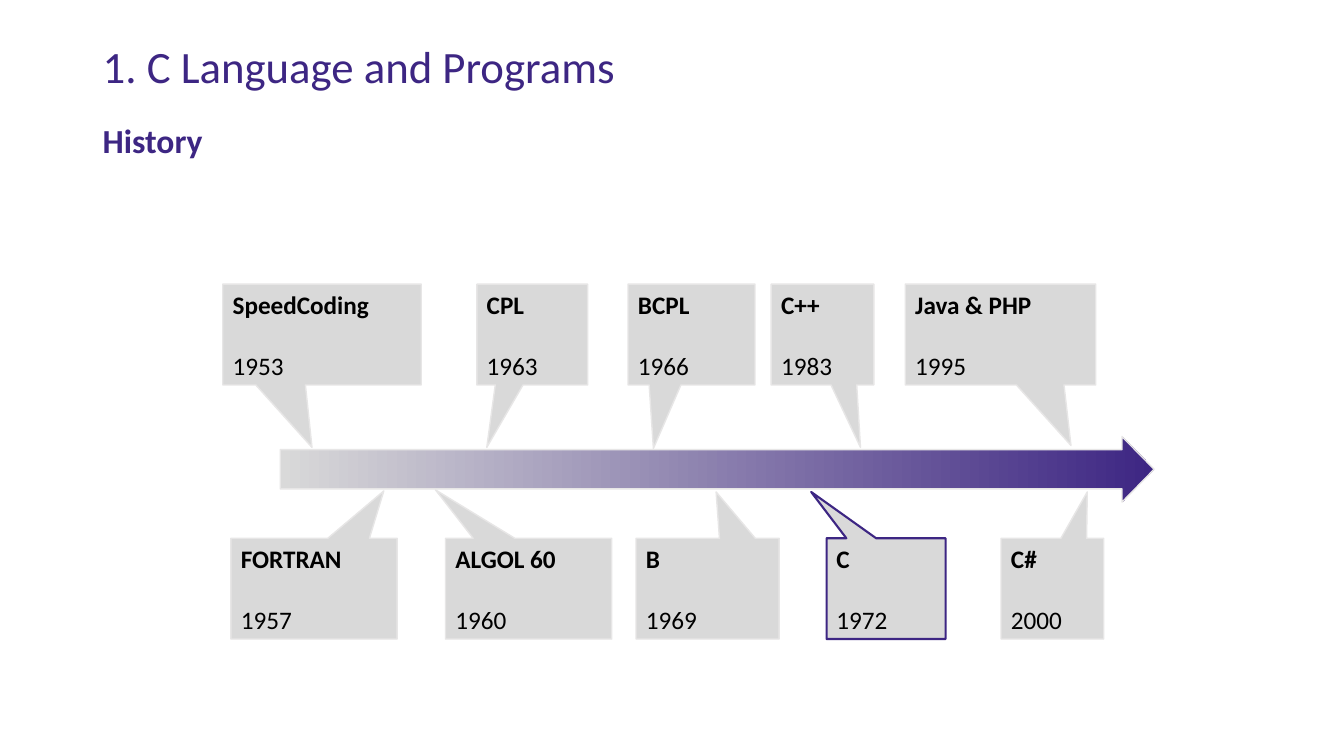
"""Build a timeline slide on the history of the C language."""
from pptx import Presentation
from pptx.dml.color import RGBColor
from pptx.enum.shapes import MSO_SHAPE
from pptx.enum.text import MSO_ANCHOR, PP_ALIGN
from pptx.util import Pt

PURPLE, GREY, PALE, BLACK = "3D2683", "D9D9D9", "E7E6E6", "000000"
UPPER, LOWER, CALLOUT_HEIGHT = 203, 384.5, 72


def paint(color, value):
    color.rgb = RGBColor.from_string(value)


def write(para, text, size, value, bold):
    span = para.add_run()
    span.text = text
    for name, setting in {"name": "Calibri", "size": Pt(size), "bold": bold}.items():
        setattr(span.font, name, setting)
    paint(span.font.color, value)


deck = Presentation()
deck.slide_width, deck.slide_height = Pt(960), Pt(540)
page = deck.slides.add_slide(deck.slide_layouts[6])

headings = [
    ("1. C Language and Programs", 28.8, 45.4, 32, False, 0.9),
    ("History", 82.1, 36, 24, True, 1.0),
]
for text, top, height, size, bold, spacing in headings:
    box = page.shapes.add_textbox(Pt(66.3), Pt(top), Pt(828), Pt(height))
    box.text_frame.word_wrap = True
    para = box.text_frame.paragraphs[0]
    para.line_spacing = spacing
    write(para, text, size, PURPLE, bold)

arrow = page.shapes.add_shape(
    MSO_SHAPE.RIGHT_ARROW, Pt(200.2), Pt(311.8), Pt(624.2), Pt(46.8))
arrow.shadow.inherit = False
arrow.adjustments[0], arrow.adjustments[1] = 0.6, 0.49
arrow.fill.gradient()
arrow.fill.gradient_angle = 0
for stop, value in zip(arrow.fill.gradient_stops, (GREY, PURPLE)):
    paint(stop.color, value)
paint(arrow.line.color, PALE)
arrow.line.width = Pt(1)

languages = [
    ("SpeedCoding", "1953", 159.1, UPPER, 141.8, -0.05, 1.12),
    ("CPL", "1963", 340.6, UPPER, 79.2, -0.41, 1.12),
    ("FORTRAN", "1957", 164.9, LOWER, 118.8, 0.42, -0.97),
    ("BCPL", "1966", 448.6, UPPER, 90.7, -0.3, 1.13),
    ("ALGOL 60", "1960", 318.2, LOWER, 118.8, -0.56, -0.98),
    ("C", "1972", 590.4, LOWER, 85, -0.63, -0.96),
    ("B", "1969", 454.3, LOWER, 102.2, 0.06, -0.96),
    ("C++", "1983", 550.8, UPPER, 73.4, 0.37, 1.12),
    ("Java & PHP", "1995", 646.6, UPPER, 136.1, 0.37, 1.1),
    ("C#", "2000", 715, LOWER, 73.4, 0.34, -0.96),
]
for language, year, left, top, width, tip_x, tip_y in languages:
    callout = page.shapes.add_shape(
        MSO_SHAPE.RECTANGULAR_CALLOUT, Pt(left), Pt(top), Pt(width), Pt(CALLOUT_HEIGHT))
    callout.shadow.inherit = False
    callout.adjustments[0], callout.adjustments[1] = tip_x, tip_y
    callout.fill.solid()
    paint(callout.fill.fore_color, GREY)
    outline, weight = (PURPLE, 1.5) if language == "C" else (PALE, 1)
    paint(callout.line.color, outline)
    callout.line.width = Pt(weight)
    frame = callout.text_frame
    frame.word_wrap = True
    frame.vertical_anchor = MSO_ANCHOR.MIDDLE
    name_para, year_para = frame.paragraphs[0], frame.add_paragraph()
    year_para.space_before = Pt(22)
    for para, text, bold in ((name_para, language, True), (year_para, year, False)):
        para.alignment = PP_ALIGN.LEFT
        write(para, text, 18, BLACK, bold)

deck.save("out.pptx")
